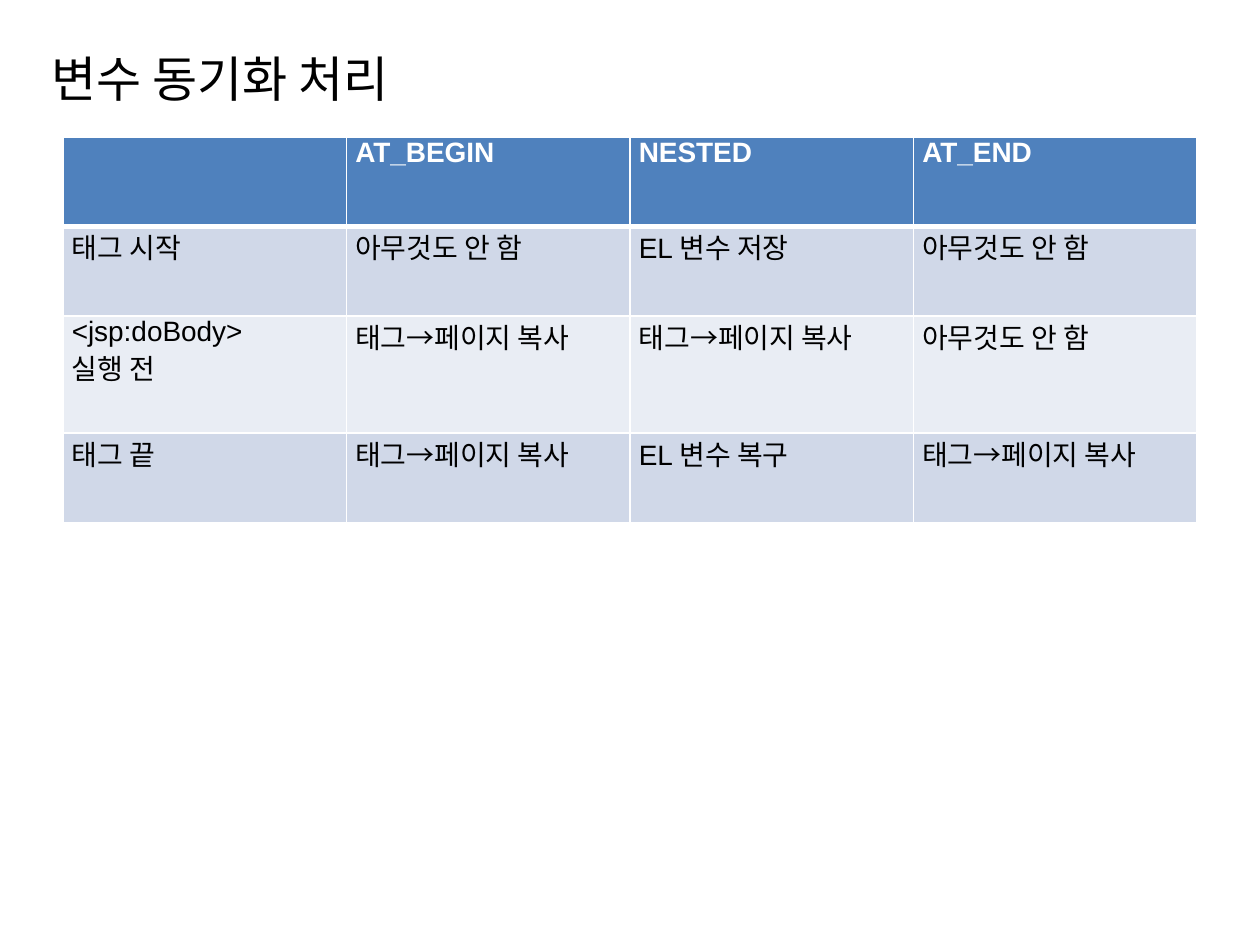
from dataclasses import dataclass

from lxml import etree
from pptx import Presentation
from pptx import util as u
from pptx.dml.color import RGBColor
from pptx.enum import text
from pptx.oxml.ns import qn


@dataclass(frozen=True)
class Theme:
    black: str = "000000"
    white: str = "FFFFFF"
    header: str = "4F81BD"
    bands: tuple = ("D0D8E8", "E9EDF4")
    latin: str = "Arial"
    korean: str = "Noto Sans CJK KR"
    title_size: int = 28
    cell_size: int = 16
    rule: int = 1
    header_rule: int = 3


T = Theme()
W, H = 10, 7.5
ROWS = [
    ["", "AT_BEGIN", "NESTED", "AT_END"],
    ["태그 시작", "아무것도 안 함", "EL 변수 저장", "아무것도 안 함"],
    ["<jsp:doBody> \n실행 전", "태그→페이지 복사", "태그→페이지 복사", "아무것도 안 함"],
    ["태그 끝", "태그→페이지 복사", "EL 변수 복구", "태그→페이지 복사"],
]
ROW_HEIGHTS = [0.71, 0.71, 0.93, 0.71]


def write(tf, content, size=T.cell_size, color=T.black, bold=False,
          font=T.latin, align=text.PP_ALIGN.LEFT):
    """Fill a text frame, one paragraph a line."""
    for i, line in enumerate(content.split("\n")):
        p = tf.add_paragraph() if i else tf.paragraphs[0]
        p.alignment = align
        r = p.add_run()
        r.text = line
        r.font.size, r.font.bold, r.font.name = u.Pt(size), bold, font
        r.font.color.rgb = RGBColor.from_string(color)
        ea = etree.SubElement(r.font._element, qn("a:ea"))
        ea.set("typeface", T.korean)


def set_borders(cell, **widths):
    """Draw the cell's edges; widths are points keyed by L, R, T, B."""
    tcPr = cell._tc.get_or_add_tcPr()
    for i, (side, width) in enumerate(widths.items()):
        ln = etree.Element(qn(f"a:ln{side}"), w=str(u.Pt(width)))
        fill = etree.SubElement(ln, qn("a:solidFill"))
        etree.SubElement(fill, qn("a:srgbClr"), val=T.white)
        tcPr.insert(i, ln)


def add_title(s, box, content):
    sp = s.shapes.add_textbox(*map(u.Inches, box))
    tf = sp.text_frame
    tf.word_wrap = True
    tf.vertical_anchor = text.MSO_ANCHOR.MIDDLE
    write(tf, content, size=T.title_size, font=T.korean)


def add_sync_table(s, box, rows, heights):
    tbl = s.shapes.add_table(len(rows), len(rows[0]), *map(u.Inches, box)).table
    for col in tbl.columns:
        col.width = u.Inches(box[2] / len(rows[0]))
    for i, (row, height) in enumerate(zip(rows, heights)):
        tbl.rows[i].height = u.Inches(height)
        header = i == 0
        for j, content in enumerate(row):
            cell = tbl.cell(i, j)
            cell.margin_left = cell.margin_right = u.Inches(0.07)
            cell.margin_top = cell.margin_bottom = 0
            cell.fill.solid()
            cell.fill.fore_color.rgb = RGBColor.from_string(
                T.header if header else T.bands[(i - 1) % 2])
            # The thick rule lies between the header and the first body row
            set_borders(cell, L=T.rule, R=T.rule,
                        T=T.header_rule if i == 1 else T.rule,
                        B=T.header_rule if header else T.rule)
            if content:
                write(cell.text_frame, content, bold=header,
                      color=T.white if header else T.black,
                      align=text.PP_ALIGN.JUSTIFY)


def main():
    prs = Presentation()
    prs.slide_width, prs.slide_height = u.Inches(W), u.Inches(H)
    s = prs.slides.add_slide(prs.slide_layouts[6])
    # Title
    add_title(s, (0.031 * W, 0.04 * H, 0.945 * W, 0.085 * H), "변수 동기화 처리")
    # Table of variable synchronisation by scope
    add_sync_table(s, (0.05 * W, 0.145 * H, 0.9 * W, sum(ROW_HEIGHTS)),
                   ROWS, ROW_HEIGHTS)
    prs.save("out.pptx")


if __name__ == "__main__":
    main()
